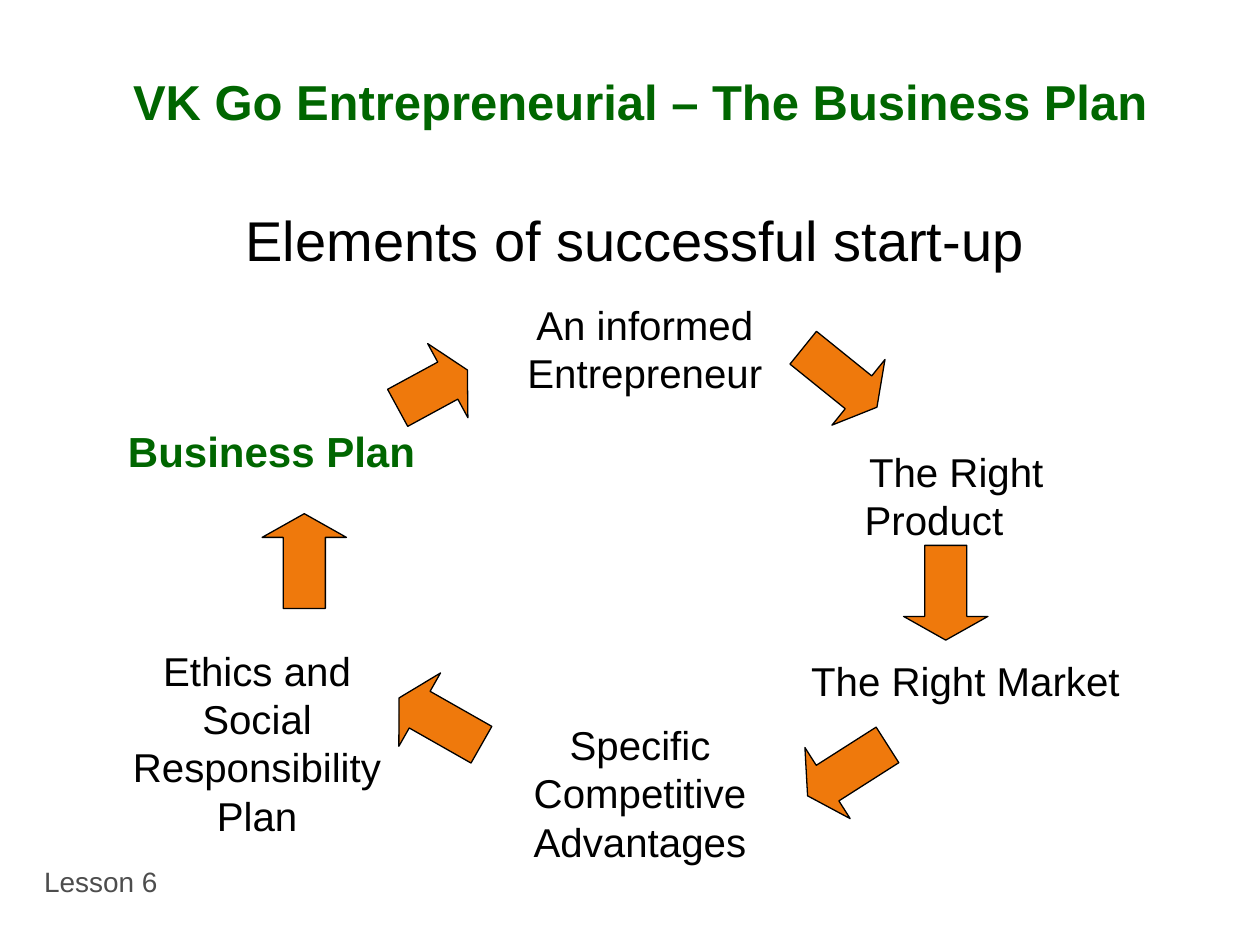
from dataclasses import dataclass

from pptx import Presentation
from pptx.dml.color import RGBColor
from pptx.enum.shapes import MSO_SHAPE
from pptx.enum.text import MSO_ANCHOR, MSO_AUTO_SIZE, PP_ALIGN
from pptx.slide import Slide
from pptx.util import Cm, Pt

RIGHT_ARROW = MSO_SHAPE.RIGHT_ARROW
TOP = MSO_ANCHOR.TOP
FIT_SHAPE, NO_FIT = MSO_AUTO_SIZE.SHAPE_TO_FIT_TEXT, MSO_AUTO_SIZE.NONE
LEFT, CENTER = PP_ALIGN.LEFT, PP_ALIGN.CENTER

COLORS = {
    "green": "006600",
    "gray": "4D4D4D",
    "black": "000000",
    "orange": "EF790C",
}
FONT_NAME = "Arial"
ARROW_HEIGHT = 1.7
ARROW_ADJUSTMENTS = (0.5, 0.281)


@dataclass
class Label:
    text: str
    left: float
    top: float
    width: float
    height: float
    size: int = 23
    color: str = "black"
    bold: bool = False
    alignment: PP_ALIGN = CENTER
    auto_size: MSO_AUTO_SIZE = FIT_SHAPE
    first_line_indent: float = 0


@dataclass
class CycleArrow:
    left: float
    top: float
    rotation: float
    width: float = 1.91


LABELS = [
    Label("Lesson 6", 0.64, 17.3, 3.89, 0.94, size=16, color="gray", alignment=LEFT),
    Label("VK Go Entrepreneurial – The Business Plan", 0.84, 1.32, 24.13, 1.96,
          size=28, color="green", bold=True, auto_size=NO_FIT),
    Label("Elements of successful start-up", 0.64, 4.01, 24.33, 1.7,
          size=32, auto_size=NO_FIT),
    Label("Business Plan", 1.98, 8.46, 6.99, 1.27, size=24, color="green", bold=True),
    Label("An informed\nEntrepreneur", 9.73, 5.92, 6.55, 1.78),
    Label("The Right Product", 15.44, 8.89, 6.78, 1.02, first_line_indent=0.9),
    Label("The Right Market", 16.08, 13.11, 6.78, 1.02),
    Label("Specific Competitive Advantages", 9.73, 14.4, 6.35, 1.78),
    Label("Ethics and Social Responsibility Plan", 2.11, 12.9, 6.15, 1.8),
]

ARROWS = [
    CycleArrow(7.92, 13.69, 209.6),
    CycleArrow(16.13, 14.68, 147.5),
    CycleArrow(18.11, 11.1, 90),
    CycleArrow(15.98, 6.76, 38.9),
    CycleArrow(5.18, 10.46, 270),
    CycleArrow(7.92, 6.99, 331.5, width=1.6),
]


def draw_label(slide: Slide, label: Label) -> None:
    shape = slide.shapes.add_textbox(
        Cm(label.left), Cm(label.top), Cm(label.width), Cm(label.height)
    )
    text_frame = shape.text_frame
    text_frame.text = label.text
    frame_format = {
        "word_wrap": True,
        "auto_size": label.auto_size,
        "vertical_anchor": TOP,
    }
    for name, value in frame_format.items():
        setattr(text_frame, name, value)
    font_format = {"name": FONT_NAME, "size": Pt(label.size), "bold": label.bold}
    for paragraph in text_frame.paragraphs:
        paragraph.alignment = label.alignment
        if label.first_line_indent:
            properties = paragraph._p.get_or_add_pPr()
            properties.set("marL", "0")
            properties.set("indent", str(Cm(label.first_line_indent)))
        for run in paragraph.runs:
            for name, value in font_format.items():
                setattr(run.font, name, value)
            run.font.color.rgb = RGBColor.from_string(COLORS[label.color])


def draw_arrow(slide: Slide, arrow: CycleArrow) -> None:
    shape = slide.shapes.add_shape(
        RIGHT_ARROW, Cm(arrow.left), Cm(arrow.top), Cm(arrow.width), Cm(ARROW_HEIGHT)
    )
    shape.rotation = arrow.rotation
    shape.shadow.inherit = False
    for index, adjustment in enumerate(ARROW_ADJUSTMENTS):
        shape.adjustments[index] = adjustment
    shape.fill.solid()
    shape.fill.fore_color.rgb = RGBColor.from_string(COLORS["orange"])
    shape.line.color.rgb = RGBColor.from_string(COLORS["black"])
    shape.line.width = Pt(0.75)


def main() -> None:
    presentation = Presentation()
    presentation.slide_width = Cm(25.4)
    presentation.slide_height = Cm(19.05)
    slide = presentation.slides.add_slide(presentation.slide_layouts[6])
    for label in LABELS:
        draw_label(slide, label)
    for arrow in ARROWS:
        draw_arrow(slide, arrow)
    presentation.save("out.pptx")


if __name__ == "__main__":
    main()
